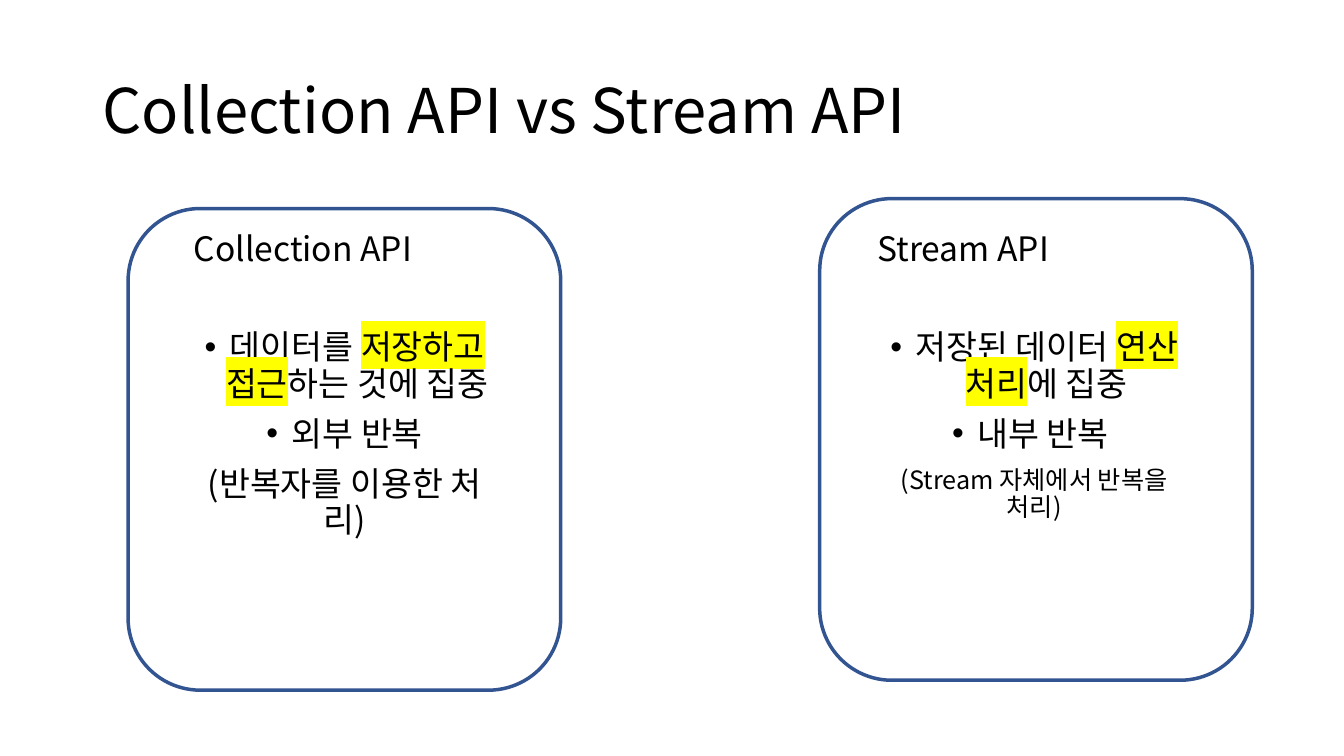
from dataclasses import dataclass

from lxml.etree import SubElement
from pptx import Presentation
from pptx.dml.color import RGBColor
from pptx.enum.shapes import MSO_SHAPE
from pptx.enum.text import MSO_ANCHOR, MSO_AUTO_SIZE, PP_ALIGN
from pptx.oxml.ns import qn
from pptx.shapes.base import BaseShape
from pptx.slide import Slide
from pptx.util import Pt


@dataclass(frozen=True)
class Theme:
    font: str = "Noto Sans CJK KR"
    ink: str = "000000"
    edge: str = "325491"
    mark: str = "FFFF00"
    title: float = 44
    text: float = 24
    note: float = 18


@dataclass(frozen=True)
class Para:
    runs: tuple[str, ...]  # every second run is highlighted
    bullet: bool = False
    size: float = 24


@dataclass(frozen=True)
class Panel:
    left: float
    top: float
    text_left: float
    head: str
    head_width: float
    items: tuple[Para, ...]
    slots: tuple[int, int]  # heading and list placeholders


THEME = Theme()
CARD_SIZE = (309, 344)
HEAD_TOP, HEAD_HIGH = 162.7, 56.2
LIST_TOP, LIST_SIZE = 232.6, (239, 138.2)
INDENT = 18

PANELS = (
    Panel(91.5, 149, 126.7, "Collection API", 179.3, (
        Para(("데이터를 ", "저장하고 접근", "하는 것에 집중"), bullet=True),
        Para(("외부 반복",), bullet=True),
        Para(("(반복자를 이용한 처리)",)),
    ), (1, 2)),
    Panel(585.5, 141.9, 619.2, "Stream API", 137.5, (
        Para(("저장된 데이터 ", "연산 처리", "에 집중"), bullet=True),
        Para(("내부 반복 ",), bullet=True),
        Para(("(Stream 자체에서 반복을 처리)",), size=THEME.note),
    ), (3, 4)),
)


def place(shape: BaseShape, left: float, top: float,
          width: float, height: float) -> None:
    shape.left, shape.top = Pt(left), Pt(top)
    shape.width, shape.height = Pt(width), Pt(height)


def write(shape: BaseShape, paras: tuple[Para, ...], *,
          align: PP_ALIGN = PP_ALIGN.CENTER,
          anchor: MSO_ANCHOR = MSO_ANCHOR.TOP) -> None:
    frame = shape.text_frame
    frame.word_wrap = True
    frame.auto_size = MSO_AUTO_SIZE.NONE
    frame.vertical_anchor = anchor
    for i, para in enumerate(paras):
        line = frame.add_paragraph() if i else frame.paragraphs[0]
        line.alignment = align
        line.line_spacing = 0.9
        line.space_before = Pt(10 if i else 0)
        line.space_after = Pt(0)
        # Bullet and hanging indent
        props = line._p.get_or_add_pPr()
        indent = Pt(INDENT) if para.bullet else 0
        props.set("marL", str(indent))
        props.set("indent", str(-indent))
        if para.bullet:
            SubElement(props, qn("a:buFont"), typeface="Arial")
            SubElement(props, qn("a:buChar"), char="•")
        else:
            SubElement(props, qn("a:buNone"))
        # Runs
        for j, text in enumerate(para.runs):
            run = line.add_run()
            run.text = text
            font = run.font
            font.size = Pt(para.size)
            font.bold = False
            font.color.rgb = RGBColor.from_string(THEME.ink)
            style = run._r.get_or_add_rPr()
            if j % 2:
                mark = SubElement(style, qn("a:highlight"))
                SubElement(mark, qn("a:srgbClr"), val=THEME.mark)
            font.name = THEME.font
            SubElement(style, qn("a:ea"), typeface=THEME.font)


def draw(slide: Slide, panel: Panel) -> None:
    # Outlined card
    card = slide.shapes.add_shape(
        MSO_SHAPE.ROUNDED_RECTANGLE, Pt(panel.left), Pt(panel.top),
        *map(Pt, CARD_SIZE))
    card.shadow.inherit = False
    card.fill.background()
    card.line.color.rgb = RGBColor.from_string(THEME.edge)
    card.line.width = Pt(2.5)
    # Heading and list
    head, body = (slide.placeholders[slot] for slot in panel.slots)
    place(head, panel.text_left, HEAD_TOP, panel.head_width, HEAD_HIGH)
    write(head, (Para((panel.head,), size=THEME.text),))
    place(body, panel.text_left, LIST_TOP, *LIST_SIZE)
    write(body, panel.items)


def main() -> None:
    deck = Presentation()
    deck.slide_width, deck.slide_height = Pt(960), Pt(540)
    # Comparison layout: title, two headings, two lists
    slide = deck.slides.add_slide(deck.slide_layouts[4])
    title = slide.shapes.title
    place(title, 66, 28.8, 828, 104.4)
    write(title, (Para(("Collection API vs Stream API",), size=THEME.title),),
          align=PP_ALIGN.LEFT, anchor=MSO_ANCHOR.MIDDLE)
    for panel in PANELS:
        draw(slide, panel)
    deck.save("out.pptx")


if __name__ == "__main__":
    main()
